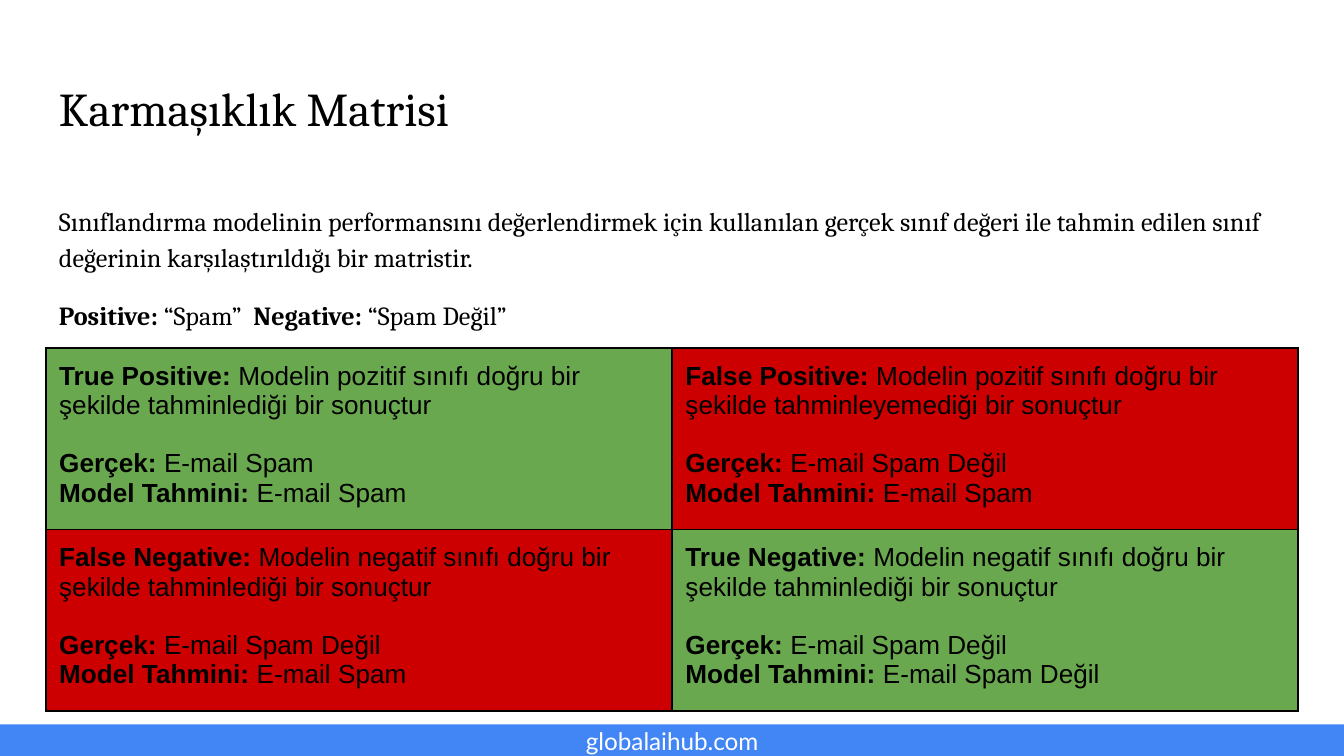
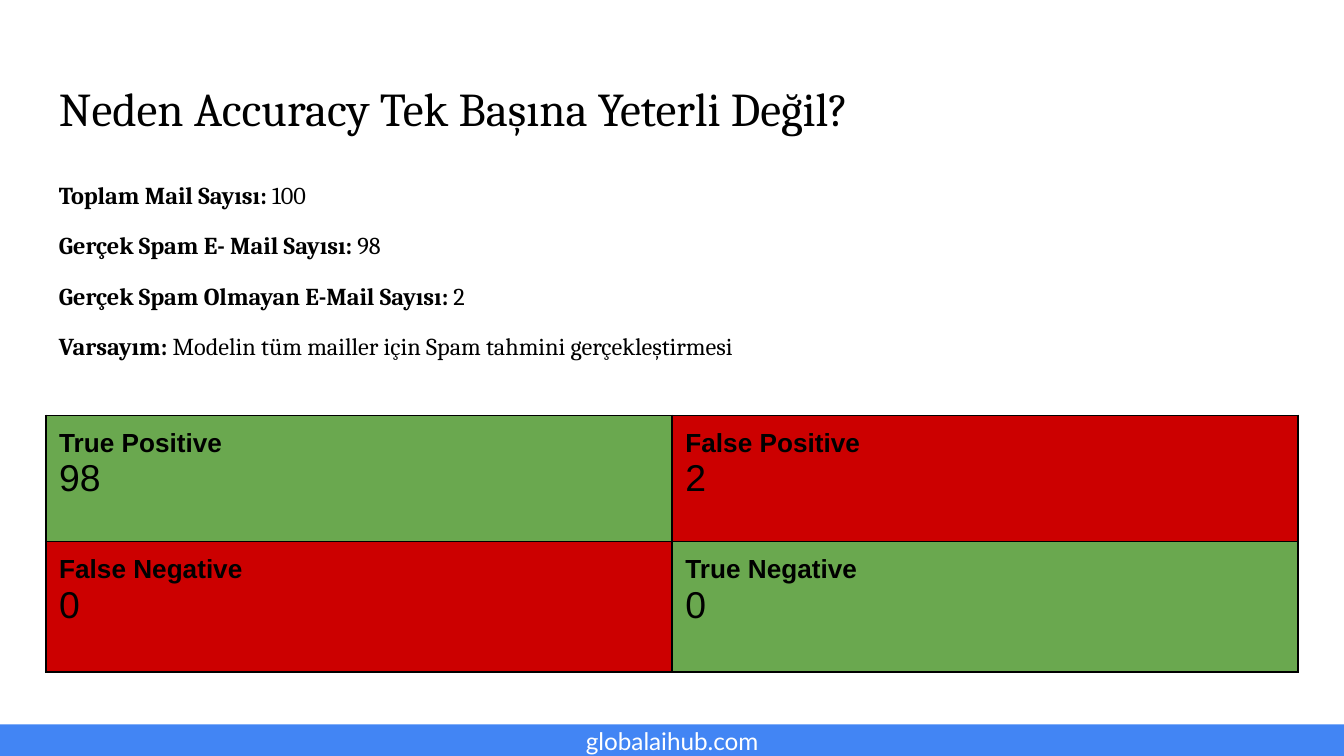
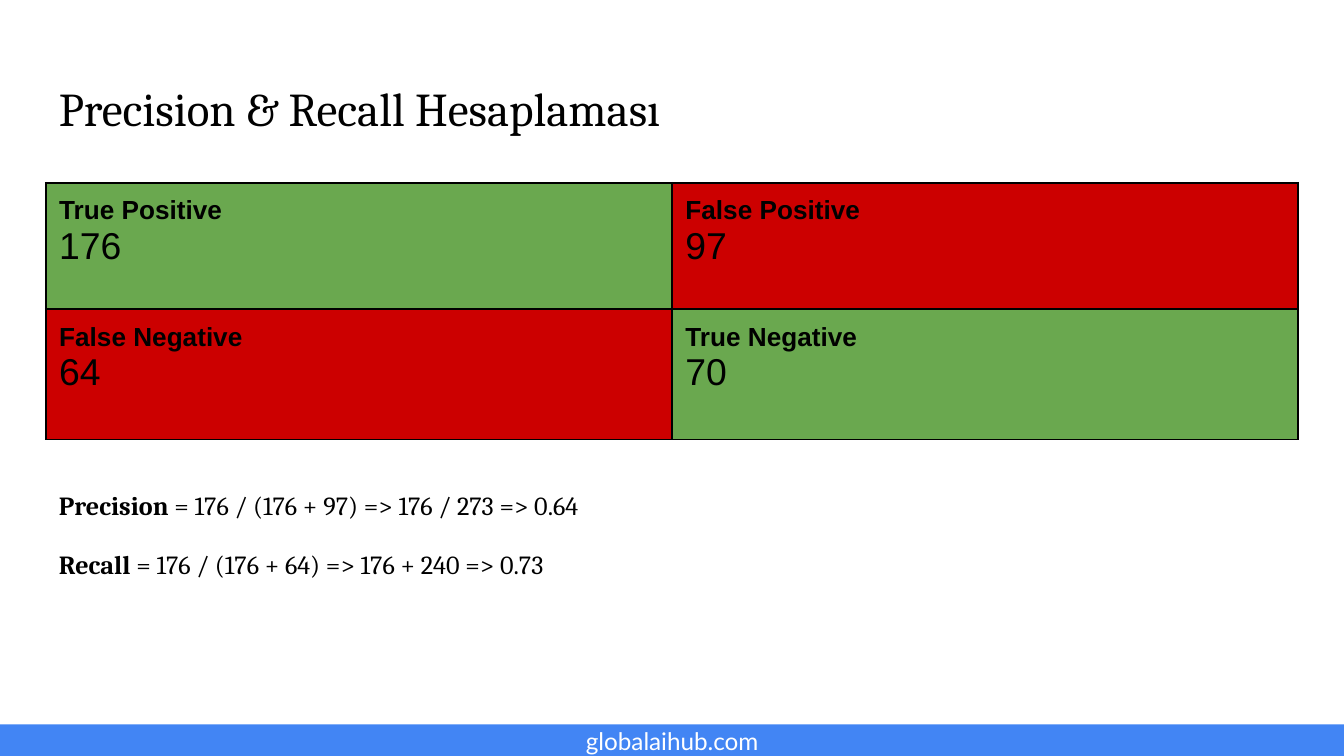
from lxml import etree
from pptx import Presentation
from pptx.dml.color import RGBColor
from pptx.enum.lang import MSO_LANGUAGE_ID
from pptx.enum.shapes import MSO_SHAPE
from pptx.enum.text import MSO_ANCHOR, PP_ALIGN
from pptx.oxml.ns import qn
from pptx.util import Inches, Pt

RECTANGLE = MSO_SHAPE.RECTANGLE
TOP, MIDDLE = MSO_ANCHOR.TOP, MSO_ANCHOR.MIDDLE
LEFT, CENTER = PP_ALIGN.LEFT, PP_ALIGN.CENTER
TURKISH = MSO_LANGUAGE_ID.TURKISH

COLORS = {
    "band": "4285F4",
    "footer": "FFFFFF",
    "text": "000000",
    "border": "000000",
    "correct": "6AA84F",
    "wrong": "CC0000",
}
TITLE_FONT, TABLE_FONT, FOOTER_FONT = "Cambria", "Arial", "Lato"
MARGIN, CONTENT_WIDTH = 0.34, 9.32
INSET = Inches(0.1)
BORDER_WIDTH = Pt(1)
ROW_HEIGHTS = (0.94, 0.97)
CLASS_NAMES = ("True Positive", "False Positive", "False Negative", "True Negative")


def color(name):
    return RGBColor.from_string(COLORS[name])


def format_run(run, size, font_name, color_name="text", bold=False):
    run.font.size = Pt(size)
    run.font.name = font_name
    run.font.color.rgb = color(color_name)
    run.font.bold = bold
    run.font.language_id = TURKISH


def add_runs(paragraph, parts, size, font_name):
    """Write alternating bold and plain parts, starting with bold."""
    for index, part in enumerate(parts):
        if part:
            run = paragraph.add_run()
            run.text = part
            format_run(run, size, font_name, bold=index % 2 == 0)
    # The paragraph mark takes the text size, so that it does not stretch the line
    etree.SubElement(paragraph._p, qn("a:endParaRPr"), sz=str(size * 100))


def next_paragraph(text_frame, index):
    return text_frame.add_paragraph() if index else text_frame.paragraphs[0]


def add_text_frame(slide, box, anchor=TOP):
    shape = slide.shapes.add_textbox(*map(Inches, box))
    text_frame = shape.text_frame
    text_frame.word_wrap = True
    text_frame.vertical_anchor = anchor
    text_frame.margin_left = text_frame.margin_right = INSET
    text_frame.margin_top = text_frame.margin_bottom = INSET
    return text_frame


def add_line(slide, box, text, size, font_name, color_name, anchor=TOP, alignment=LEFT):
    text_frame = add_text_frame(slide, box, anchor)
    text_frame.text = text
    paragraph = text_frame.paragraphs[0]
    paragraph.alignment = alignment
    format_run(paragraph.runs[0], size, font_name, color_name)


def add_footer(slide):
    band = slide.shapes.add_shape(RECTANGLE, 0, Inches(5.39), Inches(10), Inches(0.24))
    band.shadow.inherit = False
    band.fill.solid()
    band.fill.fore_color.rgb = color("band")
    band.line.fill.background()
    add_line(slide, (2.89, 5.29, 4.22, 0.44), "globalaihub.com", 13, FOOTER_FONT,
             "footer", MIDDLE, CENTER)


def add_titled_slide(presentation, title):
    slide = presentation.slides.add_slide(presentation.slide_layouts[6])
    add_footer(slide)
    add_line(slide, (MARGIN, 0.49, CONTENT_WIDTH, 0.63), title, 25.2, TITLE_FONT, "text")
    return slide


def add_body(slide, top, height, paragraphs, size=14, line_spacing=1.15):
    text_frame = add_text_frame(slide, (MARGIN, top, CONTENT_WIDTH, height))
    for index, parts in enumerate(paragraphs):
        paragraph = next_paragraph(text_frame, index)
        paragraph.line_spacing = line_spacing
        if index:
            paragraph.space_before = Pt(12)
        add_runs(paragraph, parts, size, TITLE_FONT)


def set_borders(cell):
    properties = cell._tc.get_or_add_tcPr()
    # Border lines come before the fill in the cell properties
    for position, tag in enumerate(("a:lnL", "a:lnR", "a:lnT", "a:lnB")):
        line = etree.Element(qn(tag), w=str(BORDER_WIDTH))
        fill = etree.SubElement(line, qn("a:solidFill"))
        etree.SubElement(fill, qn("a:srgbClr"), val=COLORS["border"])
        properties.insert(position, line)


def add_matrix(slide, top, fill_cell, contents):
    """Two by two confusion matrix with the correct outcomes on the diagonal."""
    table = slide.shapes.add_table(
        2, 2, Inches(MARGIN), Inches(top), Inches(CONTENT_WIDTH), Inches(sum(ROW_HEIGHTS))
    ).table
    table.first_row = table.horz_banding = False
    for row, height in zip(table.rows, ROW_HEIGHTS):
        row.height = Inches(height)
    for index, (name, content) in enumerate(zip(CLASS_NAMES, contents)):
        row, column = divmod(index, 2)
        cell = table.cell(row, column)
        cell.margin_left = cell.margin_right = INSET
        cell.margin_top = cell.margin_bottom = INSET
        cell.vertical_anchor = TOP
        cell.fill.solid()
        cell.fill.fore_color.rgb = color("correct" if row == column else "wrong")
        set_borders(cell)
        fill_cell(cell.text_frame, name, content)


def fill_definition(text_frame, name, content):
    meaning, actual, predicted = content
    lines = (
        (f"{name}: ", meaning),
        ("Gerçek:", f" {actual}"),
        ("Model Tahmini:", f" {predicted}"),
    )
    for index, parts in enumerate(lines):
        paragraph = next_paragraph(text_frame, index)
        add_runs(paragraph, parts, 14, TABLE_FONT)
    text_frame.paragraphs[1].space_before = Pt(15.5)


def fill_count(text_frame, name, count):
    add_runs(text_frame.paragraphs[0], (name,), 14, TABLE_FONT)
    add_runs(text_frame.add_paragraph(), ("", str(count)), 20, TABLE_FONT)


def build_definition_slide(presentation):
    slide = add_titled_slide(presentation, "Karmaşıklık Matrisi")
    add_body(slide, 1.39, 1.11, (
        ("", "Sınıflandırma modelinin performansını değerlendirmek için kullanılan gerçek "
             "sınıf değeri ile tahmin edilen sınıf değerinin karşılaştırıldığı bir matristir."),
        ("Positive:", " “Spam”  ", "Negative:", " “Spam Değil”"),
    ))
    spam, not_spam = "E-mail Spam", "E-mail Spam Değil"
    meaning = "Modelin {} sınıfı doğru bir şekilde {} bir sonuçtur"
    add_matrix(slide, 2.59, fill_definition, (
        (meaning.format("pozitif", "tahminlediği"), spam, spam),
        (meaning.format("pozitif", "tahminleyemediği"), not_spam, spam),
        (meaning.format("negatif", "tahminlediği"), not_spam, spam),
        (meaning.format("negatif", "tahminlediği"), not_spam, not_spam),
    ))


def build_accuracy_slide(presentation):
    slide = add_titled_slide(presentation, "Neden Accuracy Tek Başına Yeterli Değil?")
    add_body(slide, 1.26, 1.69, (
        ("Toplam Mail Sayısı:", " 100"),
        ("Gerçek Spam E- Mail Sayısı: ", "98"),
        ("Gerçek Spam Olmayan E-Mail Sayısı:", " 2"),
        ("Varsayım: ", "Modelin tüm mailler için Spam tahmini gerçekleştirmesi"),
    ), size=13, line_spacing=0.95)
    add_matrix(slide, 3.09, fill_count, (98, 2, 0, 0))


def build_calculation_slide(presentation):
    slide = add_titled_slide(presentation, "Precision & Recall Hesaplaması")
    add_body(slide, 3.51, 1.21, (
        ("Precision", " = 176 / (176 + 97) => 176 / 273 => 0.64"),
        ("Recall", " = 176 / (176 + 64) => 176 + 240 => 0.73"),
    ))
    add_matrix(slide, 1.36, fill_count, (176, 97, 64, 70))


def main():
    presentation = Presentation()
    # Widescreen, 16 to 9
    presentation.slide_width = Inches(10)
    presentation.slide_height = Inches(10) * 9 // 16
    build_definition_slide(presentation)
    build_accuracy_slide(presentation)
    build_calculation_slide(presentation)
    presentation.save("out.pptx")


if __name__ == "__main__":
    main()
